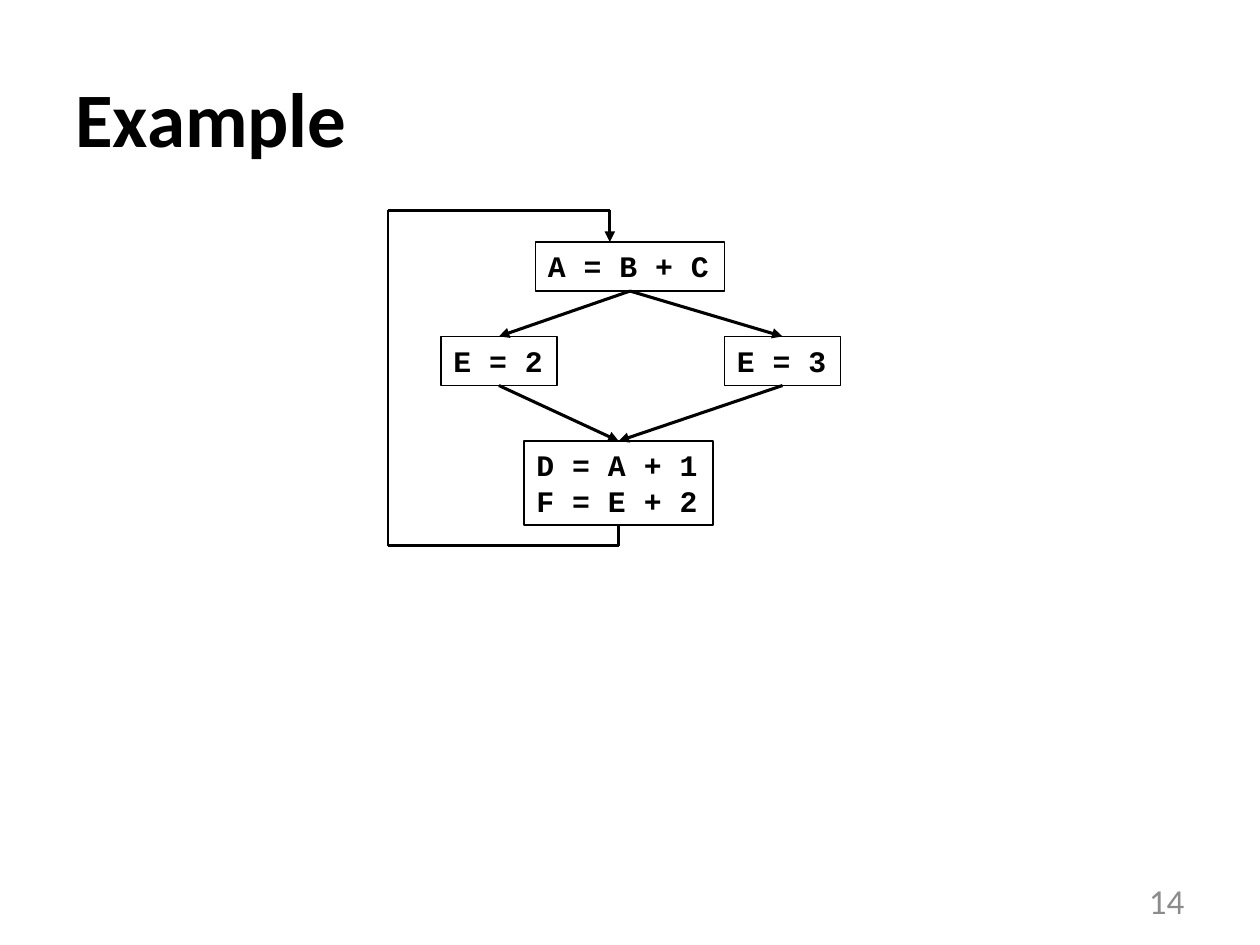
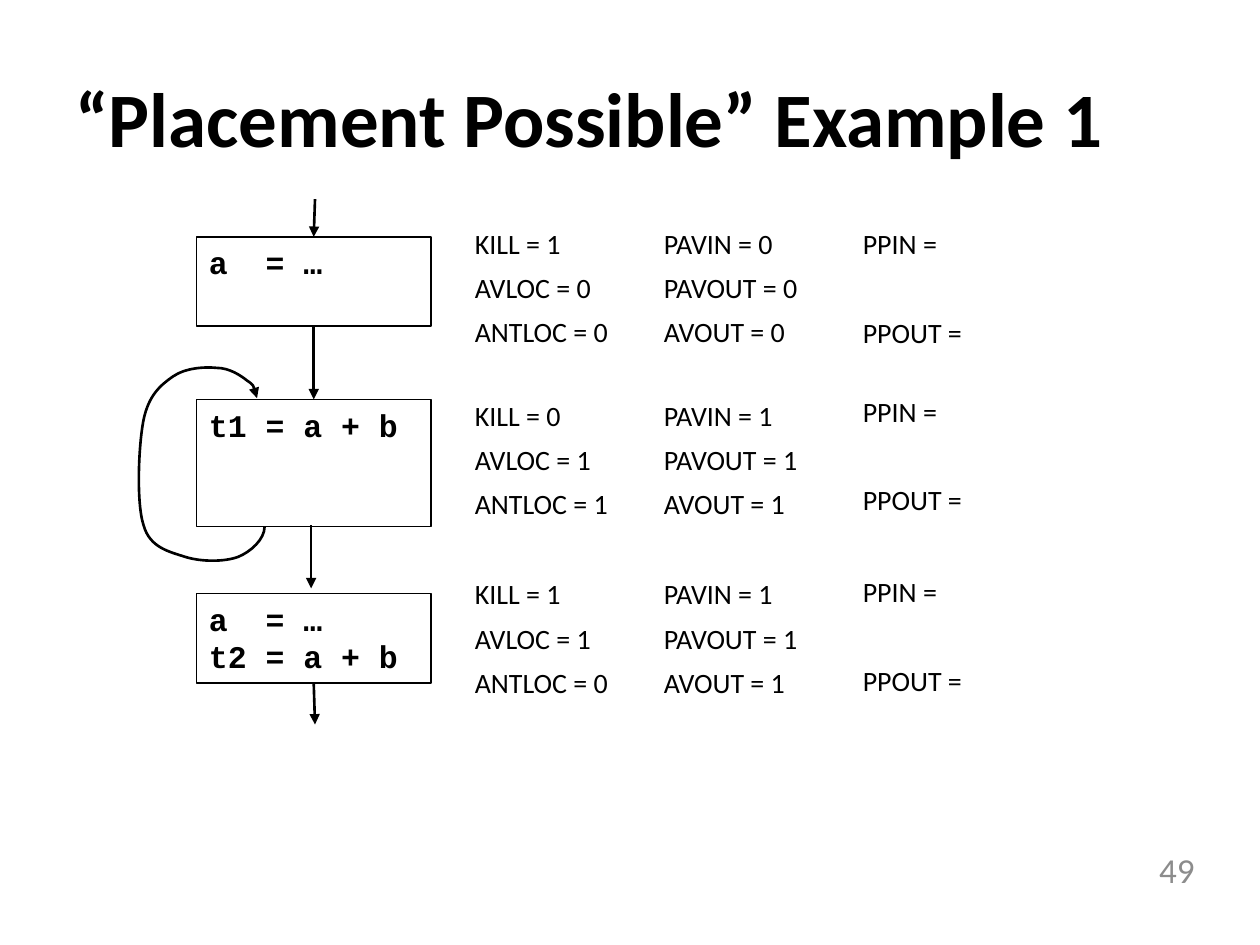
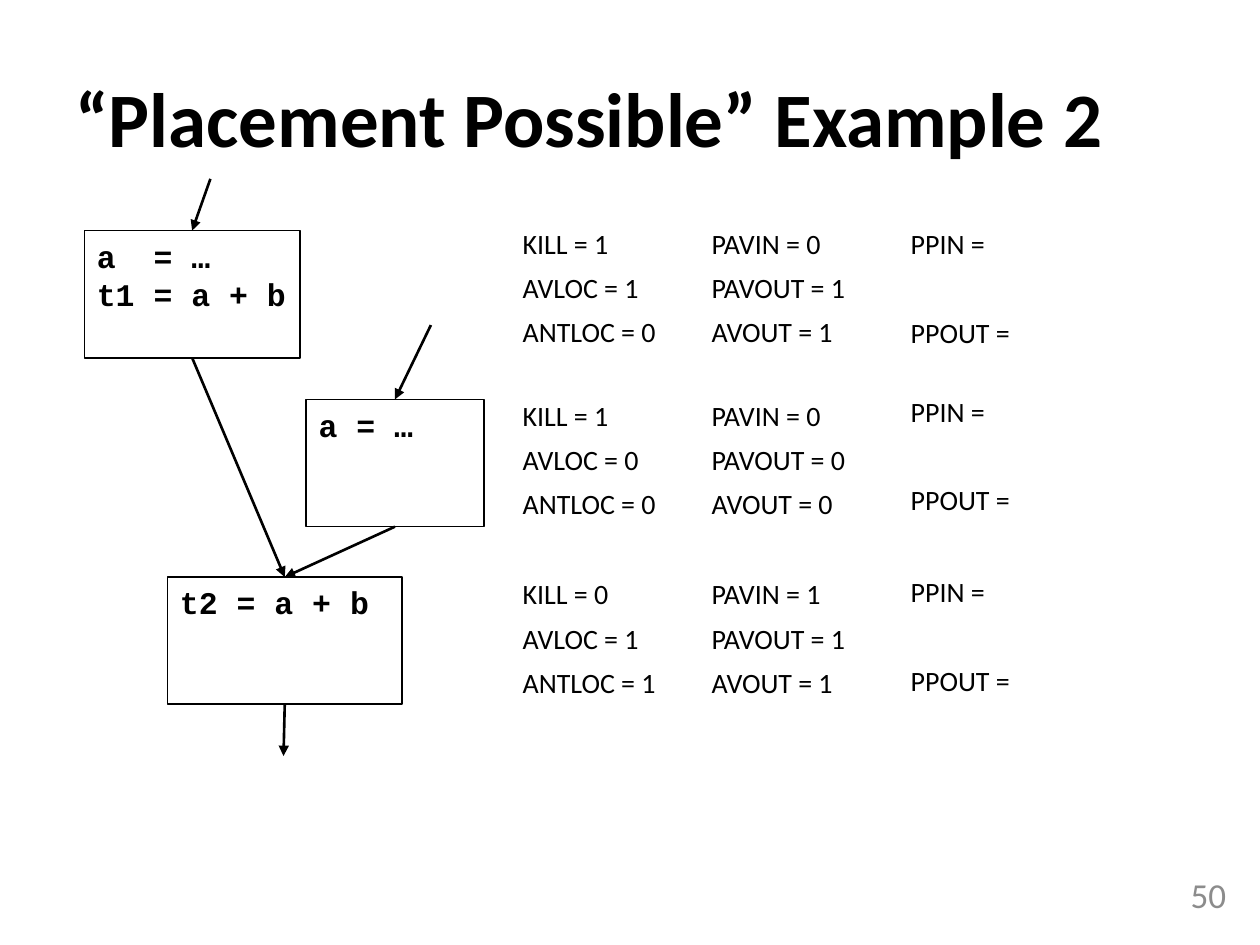
import collections
import dataclasses

import lxml.etree
import pptx
import pptx.dml.color
import pptx.enum.shapes
import pptx.enum.text
import pptx.oxml.ns
import pptx.util

Inches = pptx.util.Inches
Pt = pptx.util.Pt
qn = pptx.oxml.ns.qn
ALIGN = pptx.enum.text.PP_ALIGN
ANCHOR = pptx.enum.text.MSO_ANCHOR

Box = collections.namedtuple("Box", "left top width height")
Spot = collections.namedtuple("Spot", "x y")
Port = collections.namedtuple("Port", "block side")
Style = collections.namedtuple("Style", "font size color bold")
TOP, BOTTOM = 0, 2


@dataclasses.dataclass(frozen=True)
class Theme:
    """Colours, type styles and line widths of the deck."""
    ink = pptx.dml.color.RGBColor(0x00, 0x00, 0x00)
    muted = pptx.dml.color.RGBColor(0x8C, 0x8C, 0x8C)
    title = Style("Calibri", 44, ink, True)
    number = Style("Calibri", 20, muted, False)
    fact = Style("Calibri", 16, ink, False)
    small_code = Style("Courier New", 17, ink, True)
    code = Style("Courier New", 18, ink, True)
    border = 1
    edge = 1.5
    heavy_edge = 1.75
    fact_gap = 6
    fact_skip = 31.5


THEME = Theme()
TITLE_BOX = Box(0.5, 0.3, 9, 1.25)
FACT_LABELS = (("KILL", "AVLOC", "ANTLOC"), ("PAVIN", "PAVOUT", "AVOUT"))
FACT_COLUMNS = ((0, 1.28), (1.5, 1.3))
FACT_ROWS = (0, 1.36, 2.78)
PLACEMENT_COLUMN = (3.08, 1)
PLACEMENT_ROWS = (0, 1.33, 2.76)
FACT_HEIGHT = 1.08


def write(frame, lines, style, gaps=(), align=ALIGN.LEFT, anchor=ANCHOR.TOP):
    """Fill a text frame with one styled paragraph per line."""
    frame.word_wrap = True
    frame.auto_size = pptx.enum.text.MSO_AUTO_SIZE.NONE
    frame.vertical_anchor = anchor
    for index, line in enumerate(lines):
        paragraph = frame.add_paragraph() if index else frame.paragraphs[0]
        paragraph.alignment = align
        if gaps:
            paragraph.space_before = Pt(gaps[index])
        run = paragraph.add_run()
        run.text = line
        run.font.name = style.font
        run.font.size = Pt(style.size)
        run.font.bold = style.bold
        run.font.color.rgb = style.color


def add_text(slide, box, lines, style, **layout):
    """Place a text box on the slide."""
    label = slide.shapes.add_textbox(*map(Inches, box))
    write(label.text_frame, lines, style, **layout)


def draw_line(shape, width, arrow=False):
    """Ink a shape's line and optionally end it in an arrowhead."""
    shape.line.color.rgb = THEME.ink
    shape.line.width = Pt(width)
    if arrow:
        line = shape.element.spPr.find(qn("a:ln"))
        lxml.etree.SubElement(line, qn("a:tailEnd"), type="triangle")


def add_block(slide, origin, box, lines, style):
    """Draw a basic block of code, placed relative to origin."""
    block = slide.shapes.add_shape(
        pptx.enum.shapes.MSO_SHAPE.RECTANGLE,
        Inches(origin.x + box.left), Inches(origin.y + box.top),
        Inches(box.width), Inches(box.height))
    block.shadow.inherit = False
    block.fill.background()
    draw_line(block, THEME.border)
    write(block.text_frame, lines, style)
    return block


def add_edge(slide, origin, begin, end, width=THEME.edge, arrow=True):
    """Draw a flow edge between ports of blocks or spots relative to origin."""
    points = [Spot(0, 0) if isinstance(stop, Port)
              else Spot(Inches(origin.x + stop.x), Inches(origin.y + stop.y))
              for stop in (begin, end)]
    edge = slide.shapes.add_connector(
        pptx.enum.shapes.MSO_CONNECTOR.STRAIGHT, *points[0], *points[1])
    if isinstance(begin, Port):
        edge.begin_connect(*begin)
    if isinstance(end, Port):
        edge.end_connect(*end)
    draw_line(edge, width, arrow)
    lxml.etree.SubElement(edge.element.spPr, qn("a:effectLst"))


def add_loop(slide, origin, points):
    """Draw a back edge as cubic curves through the given points."""
    spots = [(Inches(origin.x + x), Inches(origin.y + y)) for x, y in points]
    builder = slide.shapes.build_freeform(*spots[0])
    builder.add_line_segments(spots[1:], close=False)
    loop = builder.convert_to_shape()
    outline = next(loop.element.iter(qn("a:path")))
    steps = outline.findall(qn("a:lnTo"))
    for first in range(0, len(steps), 3):
        curve = lxml.etree.SubElement(outline, qn("a:cubicBezTo"))
        for step in steps[first:first + 3]:
            curve.append(step[0])
            outline.remove(step)
    loop.shadow.inherit = False
    loop.fill.background()
    draw_line(loop, THEME.edge, arrow=True)


def add_facts(slide, origin, rows):
    """Lay out the data-flow facts of each block beside the graph."""
    for row, values in enumerate(rows):
        for labels, column, bits in zip(FACT_LABELS, FACT_COLUMNS, values):
            box = Box(origin.x + column[0], origin.y + FACT_ROWS[row],
                      column[1], FACT_HEIGHT)
            lines = [f"{label} = {bit}" for label, bit in zip(labels, bits)]
            add_text(slide, box, lines, THEME.fact, gaps=[THEME.fact_gap] * 3)
        left, width = PLACEMENT_COLUMN
        box = Box(origin.x + left, origin.y + PLACEMENT_ROWS[row],
                  width, FACT_HEIGHT)
        add_text(slide, box, ["PPIN =", "PPOUT ="], THEME.fact,
                 gaps=[THEME.fact_gap, THEME.fact_skip])


def add_page(deck, title, number, number_spot):
    """Add a slide with its title and page number."""
    slide = deck.slides.add_slide(deck.slide_layouts[6])
    add_text(slide, TITLE_BOX, [title], THEME.title, anchor=ANCHOR.MIDDLE)
    add_text(slide, Box(*number_spot, 2.33, 0.4), [number], THEME.number,
             align=ALIGN.RIGHT, anchor=ANCHOR.MIDDLE)
    return slide


def draw_branching_loop(slide, origin):
    """Draw a loop whose body branches and joins again."""
    def block(box, *lines):
        return add_block(slide, origin, box, lines, THEME.small_code)

    left = block(Box(0.42, 1, 0.92, 0.39), "E = 2")
    right = block(Box(2.67, 1, 0.92, 0.39), "E = 3")
    join = block(Box(1.08, 1.83, 1.5, 0.67), "D = A + 1", "F = E + 2")
    head = block(Box(1.17, 0.25, 1.5, 0.39), "A = B + C")
    for branch in (left, right):
        add_edge(slide, origin, Port(head, BOTTOM), Port(branch, TOP),
                 THEME.heavy_edge)
        add_edge(slide, origin, Port(branch, BOTTOM), Port(join, TOP),
                 THEME.heavy_edge)
    back = [Port(join, BOTTOM), Spot(1.83, 2.66), Spot(0, 2.66), Spot(0, 0),
            Spot(1.76, 0)]
    for begin, end in zip(back, back[1:]):
        add_edge(slide, origin, begin, end, arrow=False)
    add_edge(slide, origin, back[-1], Spot(1.76, 0.25), THEME.heavy_edge)


def draw_self_loop(slide, origin):
    """Draw three blocks in sequence, the middle one looping on itself."""
    def block(top, height, *lines):
        return add_block(slide, origin, Box(0.48, top, 1.86, height), lines,
                         THEME.code)

    entry = block(0.3, 0.71, "a  = …")
    body = block(1.59, 1.01, "t1 = a + b")
    leave = block(3.13, 0.71, "a  = …", "t2 = a + b")
    for begin, end in (
            (Spot(1.42, 0), Port(entry, TOP)),
            (Port(entry, BOTTOM), Port(body, TOP)),
            (Spot(1.39, 2.59), Spot(1.39, 3.09)),
            (Port(leave, BOTTOM), Spot(1.42, 4.17))):
        add_edge(slide, origin, begin, end)
    add_loop(slide, origin, (
        (1.02, 2.6), (1.02, 2.7), (0.91, 2.8), (0.81, 2.84),
        (0.7, 2.88), (0.52, 2.88), (0.39, 2.84),
        (0.27, 2.8), (0.11, 2.77), (0.06, 2.59),
        (0, 2.41), (0.02, 1.95), (0.06, 1.75),
        (0.1, 1.56), (0.19, 1.48), (0.29, 1.41),
        (0.39, 1.34), (0.54, 1.33), (0.64, 1.34),
        (0.74, 1.34), (0.83, 1.4), (0.88, 1.44),
        (0.94, 1.48), (0.95, 1.53), (0.96, 1.58)))


def draw_merge(slide, origin):
    """Draw two entry blocks that merge into one."""
    def block(left, top, width, *lines):
        return add_block(slide, origin, Box(left, top, width, 1.01), lines,
                         THEME.code)

    second = block(1.76, 1.75, 1.41, "a = …")
    first = block(0, 0.41, 1.71, "a  = …", "t1 = a + b")
    merge = block(0.66, 3.16, 1.86, "t2 = a + b")
    for begin, end in (
            (Port(first, BOTTOM), Port(merge, TOP)),
            (Port(second, BOTTOM), Port(merge, TOP)),
            (Spot(2.75, 1.16), Port(second, TOP)),
            (Spot(1, 0), Port(first, TOP)),
            (Port(merge, BOTTOM), Spot(1.58, 4.58))):
        add_edge(slide, origin, begin, end)


def main():
    """Build the deck and save it."""
    deck = pptx.Presentation()
    deck.slide_width, deck.slide_height = Inches(10), Inches(7.5)

    slide = add_page(deck, "Example", "14", (7.17, 6.95))
    draw_branching_loop(slide, Spot(3.08, 1.67))

    slide = add_page(deck, "“Placement Possible” Example 1", "49", (7.25, 6.7))
    draw_self_loop(slide, Spot(1.08, 1.58))
    add_facts(slide, Spot(3.67, 1.75),
              (("100", "000"), ("011", "111"), ("110", "111")))

    slide = add_page(deck, "“Placement Possible” Example 2", "50", (7.5, 6.9))
    draw_merge(slide, Spot(0.67, 1.42))
    add_facts(slide, Spot(4.05, 1.75),
              (("110", "011"), ("100", "000"), ("011", "111")))

    deck.save("out.pptx")


if __name__ == "__main__":
    main()
